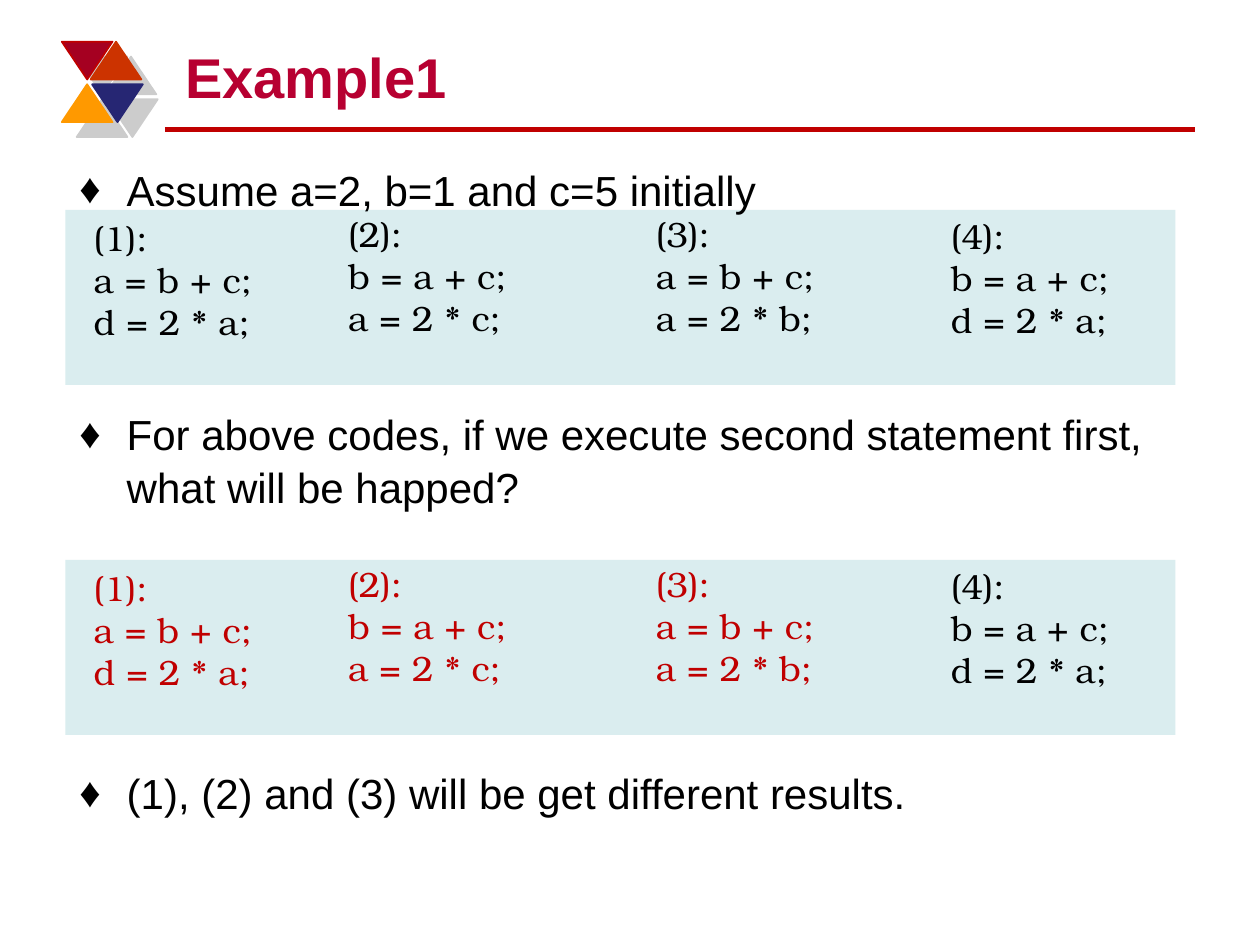
from lxml import etree
from pptx import Presentation
from pptx.dml.color import RGBColor
from pptx.enum.shapes import MSO_CONNECTOR, MSO_SHAPE
from pptx.enum.text import MSO_ANCHOR, MSO_AUTO_SIZE, PP_ALIGN
from pptx.oxml import parse_xml
from pptx.oxml.ns import nsdecls, qn
from pptx.util import Pt

STRAIGHT = MSO_CONNECTOR.STRAIGHT
RECTANGLE = MSO_SHAPE.RECTANGLE
TRIANGLE = MSO_SHAPE.ISOSCELES_TRIANGLE
LEFT = PP_ALIGN.LEFT
TOP, BOTTOM = MSO_ANCHOR.TOP, MSO_ANCHOR.BOTTOM
NO_FIT, GROW = MSO_AUTO_SIZE.NONE, MSO_AUTO_SIZE.SHAPE_TO_FIT_TEXT

BLACK, RED, CRIMSON, PALE_TEAL = "000000", "C00000", "B70031", "DAEDEF"

# left, top, rotation, fill, outline
TRIANGLES = [
    (35.3, 23.8, 180, "A50021", RED),
    (51.8, 23.8, 0, "CC3300", "CC3300"),
    (35.3, 48.2, 0, "FF9900", "FF9900"),
    (52.6, 48.2, 180, "262673", "262673"),
]

# left, offset from the panel top, code lines
SNIPPETS = [
    (39.7, 0, ["(1):", "a = b + c;", "d = 2 * a;"]),
    (185.2, -2, ["(2):", "b = a + c;", "a = 2 * c;"]),
    (361, -2, ["(3):", "a = b + c;", "a = 2 * b;"]),
    (529.5, -1, ["(4):", "b = a + c;", "d = 2 * a;"]),
]

# panel top, colour of each snippet
PANELS = [
    (120, [BLACK] * 4),
    (320, [RED, RED, RED, BLACK]),
]

# space before, text
BULLETS = [
    (0, "Assume a=2, b=1 and c=5 initially"),
    (110, "For above codes, if we execute second statement first, "
          "what will be happed?"),
    (145, "(1), (2) and (3) will be get different results."),
]


def color(value):
    return RGBColor.from_string(value)


class SlideWriter:
    text_font = "Arial"
    code_font = "TeX Gyre Bonum"

    def __init__(self, page):
        self.page = page

    def style(self, font, name, size, value, bold=False):
        font.name = name
        font.size = Pt(size)
        font.bold = bold
        font.color.rgb = color(value)

    def place(self, box, left, top, width, height):
        box.left, box.top = Pt(left), Pt(top)
        box.width, box.height = Pt(width), Pt(height)

    def bring_to_front(self, box):
        self.page.shapes.element.append(box.element)

    def rule(self, left, right, y, value, weight):
        line = self.page.shapes.add_connector(
            STRAIGHT, Pt(left), Pt(y), Pt(right), Pt(y))
        line.line.color.rgb = color(value)
        line.line.width = Pt(weight)
        etree.SubElement(line.element.spPr, qn("a:effectLst"))

    def triangle(self, left, top, rotation, fill, outline):
        shape = self.page.shapes.add_shape(
            TRIANGLE, Pt(left), Pt(top), Pt(29), Pt(21.6))
        shape.rotation = rotation
        shape.fill.solid()
        shape.fill.fore_color.rgb = color(fill)
        shape.line.color.rgb = color(outline)
        shape.line.width = Pt(1)
        shape.element.spPr.append(parse_xml(
            f'<a:effectLst {nsdecls("a")}>'
            f'<a:outerShdw dist="{Pt(12.1)}" dir="2700000" rotWithShape="0">'
            '<a:srgbClr val="000000"><a:alpha val="20000"/></a:srgbClr>'
            '</a:outerShdw></a:effectLst>'))

    def panel(self, left, top, width, height, fill):
        shape = self.page.shapes.add_shape(
            RECTANGLE, Pt(left), Pt(top), Pt(width), Pt(height))
        shape.shadow.inherit = False
        shape.fill.solid()
        shape.fill.fore_color.rgb = color(fill)
        shape.line.fill.background()

    def title(self, text):
        box = self.page.shapes.title
        self.place(box, 98.6, 18, 576, 48.2)
        frame = box.text_frame
        frame.text = text
        frame.auto_size = NO_FIT
        frame.vertical_anchor = BOTTOM
        paragraph = frame.paragraphs[0]
        paragraph.alignment = LEFT
        self.style(paragraph.runs[0].font, self.text_font, 32, CRIMSON, True)
        self.bring_to_front(box)

    def bullet(self, paragraph):
        """Give the paragraph a hanging black diamond."""
        properties = paragraph._p.get_or_add_pPr()
        properties.set("marL", str(Pt(27)))
        properties.set("indent", str(-Pt(27)))
        marker_color = etree.SubElement(properties, qn("a:buClr"))
        etree.SubElement(marker_color, qn("a:srgbClr"), val=BLACK)
        etree.SubElement(properties, qn("a:buFont"), typeface=self.text_font)
        etree.SubElement(properties, qn("a:buChar"), char="♦")

    def body(self, items):
        box = self.page.placeholders[1]
        self.place(box, 38.2, 89, 644.4, 426.6)
        frame = box.text_frame
        frame.text = "\n".join(text for _, text in items)
        frame.auto_size = NO_FIT
        frame.vertical_anchor = TOP
        for paragraph, (space, _) in zip(frame.paragraphs, items):
            self.bullet(paragraph)
            paragraph.space_before = Pt(space)
            paragraph.line_spacing = 1.04
            self.style(paragraph.runs[0].font, self.text_font, 24, BLACK)
        self.bring_to_front(box)

    def code(self, left, top, lines, value):
        box = self.page.shapes.add_textbox(
            Pt(left), Pt(top), Pt(136), Pt(79.2))
        frame = box.text_frame
        frame.text = "\n".join(lines)
        frame.word_wrap = True
        frame.auto_size = GROW
        frame.margin_left = Pt(13.8)
        for paragraph in frame.paragraphs:
            self.style(paragraph.runs[0].font, self.code_font, 20, value)


def main():
    deck = Presentation()
    deck.slide_width, deck.slide_height = Pt(720), Pt(540)
    writer = SlideWriter(deck.slides.add_slide(deck.slide_layouts[1]))

    writer.rule(94.3, 682.6, 74.2, RED, 3)
    for triangle in TRIANGLES:
        writer.triangle(*triangle)
    for top, _ in PANELS:
        writer.panel(37.4, top, 634.3, 100, PALE_TEAL)
    writer.body(BULLETS)
    writer.title("Example1")
    for top, values in PANELS:
        for (left, offset, lines), value in zip(SNIPPETS, values):
            writer.code(left, top + offset, lines, value)

    deck.save("out.pptx")


if __name__ == "__main__":
    main()
